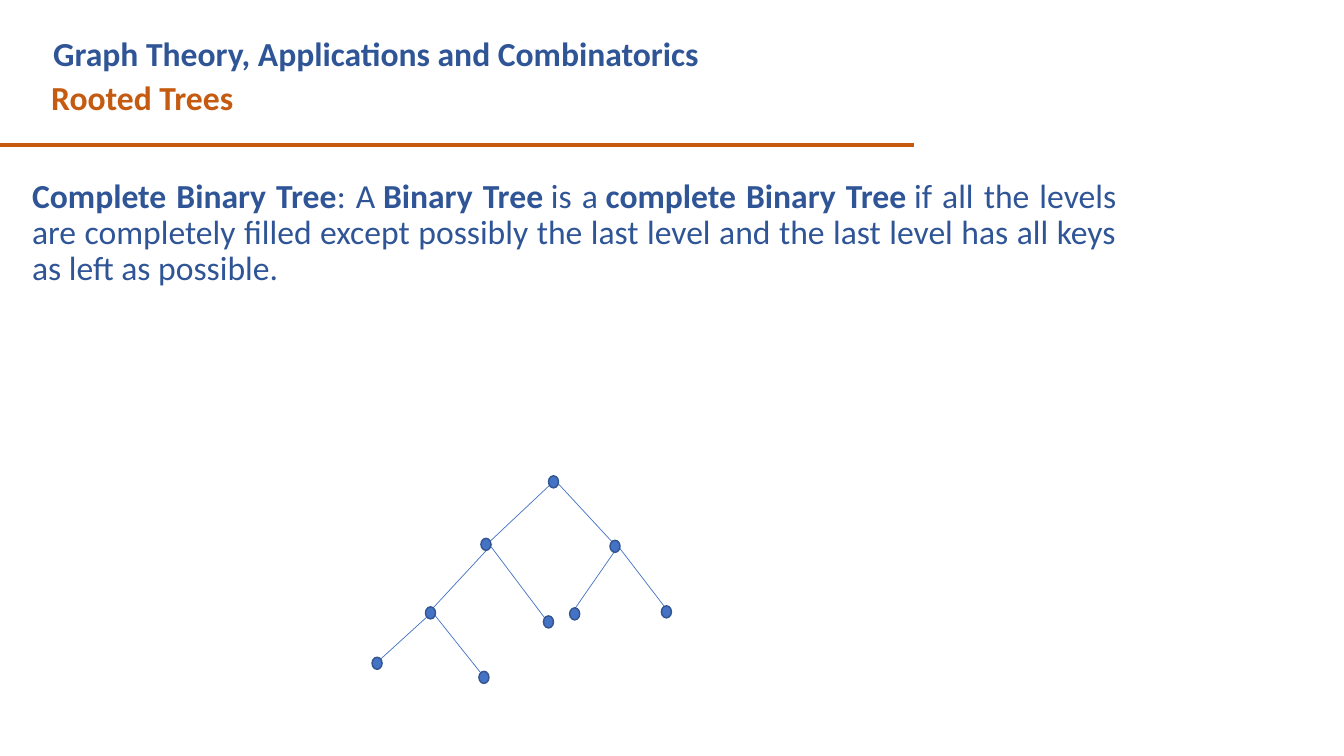
from dataclasses import dataclass

from lxml.etree import SubElement
from pptx import Presentation
from pptx.dml.color import RGBColor
from pptx.enum.shapes import MSO_CONNECTOR, MSO_SHAPE
from pptx.enum.text import PP_ALIGN
from pptx.oxml.ns import qn
from pptx.util import Inches, Pt


@dataclass(frozen=True)
class Theme:
    font: str = "Calibri"
    text_size: int = 24
    navy: str = "2F5597"
    orange: str = "C55A11"
    node_fill: str = "4472C4"
    node_line: str = "325491"
    node_width: float = 0.1
    node_height: float = 0.12


THEME = Theme()

DEFINITION = [
    ("Complete Binary Tree", True),
    (": A\u00a0", False),
    ("Binary Tree", True),
    ("\u00a0is a\u00a0", False),
    ("complete Binary Tree", True),
    ("\u00a0if all the levels are completely filled except possibly the last level "
     "and the last level has all keys as left as possible.", False),
]

# Left and top of each node, level by level
NODES = [
    (5.44, 4.72),
    (4.77, 5.34), (6.05, 5.36),
    (4.22, 6.02), (5.39, 6.11), (5.65, 6.03), (6.56, 6.01),
    (3.69, 6.52), (4.75, 6.66),
]

# Parent end and child end of each edge, level by level
EDGES = [
    ((5.53, 4.74), (4.84, 5.39)), ((5.52, 4.78), (6.14, 5.45)),
    ((4.88, 5.40), (4.26, 6.07)), ((4.86, 5.41), (5.41, 6.14)),
    ((6.11, 5.45), (5.68, 6.07)), ((6.14, 5.43), (6.63, 6.07)),
    ((4.29, 6.07), (3.73, 6.58)), ((4.31, 6.10), (4.78, 6.69)),
]


def add_text(shapes, spans, left, top, width, height, *, color,
             align=PP_ALIGN.LEFT, line_spacing=1.0):
    """Add one paragraph made of (text, bold) spans."""
    box = shapes.add_textbox(Inches(left), Inches(top), Inches(width), Inches(height))
    box.text_frame.word_wrap = True
    para = box.text_frame.paragraphs[0]
    para.alignment = align
    para.line_spacing = line_spacing
    for text, bold in spans:
        span = para.add_run()
        span.text = text
        span.font.name = THEME.font
        span.font.size = Pt(THEME.text_size)
        span.font.bold = bold
        span.font.color.rgb = RGBColor.from_string(color)


def add_line(shapes, start, end, *, color, weight):
    ends = [Inches(value) for value in (*start, *end)]
    line = shapes.add_connector(MSO_CONNECTOR.STRAIGHT, *ends)
    line.line.color.rgb = RGBColor.from_string(color)
    line.line.width = Pt(weight)
    SubElement(line._element.spPr, qn("a:effectLst"))


def add_node(shapes, left, top):
    node = shapes.add_shape(MSO_SHAPE.OVAL, Inches(left), Inches(top),
                            Inches(THEME.node_width), Inches(THEME.node_height))
    node.shadow.inherit = False
    node.fill.solid()
    node.fill.fore_color.rgb = RGBColor.from_string(THEME.node_fill)
    node.line.color.rgb = RGBColor.from_string(THEME.node_line)
    node.line.width = Pt(1)


def add_tree(shapes):
    tree = shapes.add_group_shape().shapes
    for parent, child in EDGES:
        add_line(tree, parent, child, color=THEME.node_fill, weight=0.5)
    for left, top in NODES:
        add_node(tree, left, top)


def main():
    deck = Presentation()
    deck.slide_width = Inches(13.33)
    deck.slide_height = Inches(7.5)
    page = deck.slides.add_slide(deck.slide_layouts[6])
    shapes = page.shapes

    add_text(shapes, [("Rooted Trees", True)], 0.41, 0.71, 8.75, 0.5, color=THEME.orange)
    add_line(shapes, (-0.01, 1.44), (9.07, 1.44), color=THEME.orange, weight=3)
    add_text(shapes, [("Graph Theory, Applications and Combinatorics", True)],
             0.43, 0.28, 8.2, 0.5, color=THEME.navy)
    add_text(shapes, DEFINITION, 0.22, 1.73, 10.95, 1.15, color=THEME.navy,
             align=PP_ALIGN.JUSTIFY, line_spacing=0.9)
    add_tree(shapes)

    deck.save("out.pptx")


if __name__ == "__main__":
    main()
